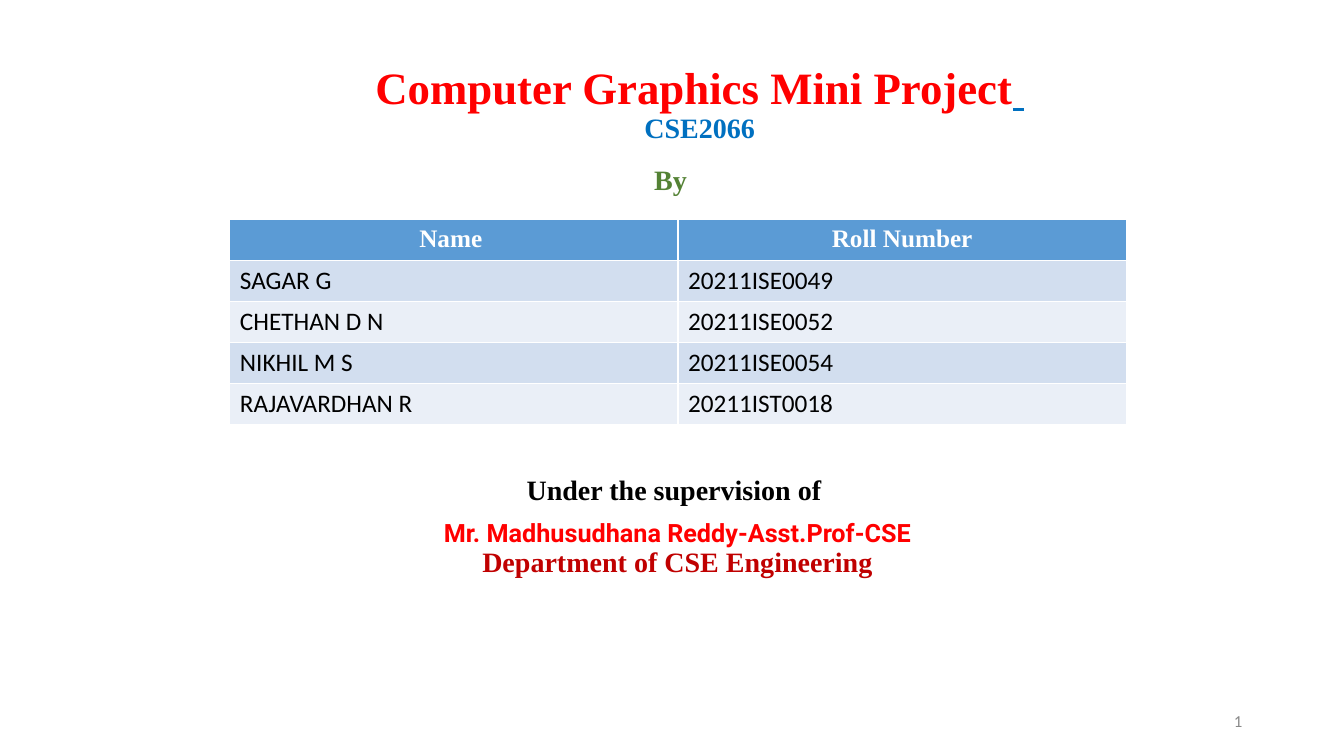
from lxml.etree import SubElement
from pptx import Presentation
from pptx.dml.color import RGBColor
from pptx.enum.text import MSO_ANCHOR, MSO_AUTO_SIZE, PP_ALIGN
from pptx.oxml.ns import qn
from pptx.util import Inches, Pt

RED = RGBColor(0xFF, 0x00, 0x00)
DARK_RED = RGBColor(0xC0, 0x00, 0x00)
BLUE = RGBColor(0x00, 0x70, 0xC0)
GREEN = RGBColor(0x54, 0x82, 0x35)
GRAY = RGBColor(0x89, 0x89, 0x89)
BLACK = RGBColor(0x00, 0x00, 0x00)
WHITE = RGBColor(0xFF, 0xFF, 0xFF)
HEADER_FILL = RGBColor(0x5B, 0x9B, 0xD5)
BAND_FILLS = [RGBColor(0xD2, 0xDE, 0xEF), RGBColor(0xEA, 0xEF, 0xF7)]
SERIF = "Times New Roman"

MEMBERS = [
    ("Name ", "Roll Number"),
    ("SAGAR G", "20211ISE0049"),
    ("CHETHAN D N", "20211ISE0052"),
    ("NIKHIL M S", "20211ISE0054"),
    ("RAJAVARDHAN R", "20211IST0018"),
]


def add_run(paragraph, text, size, color, name=SERIF, bold=True, underline=False):
    run = paragraph.add_run()
    run.text = text
    run.font.size = Pt(size)
    run.font.name = name
    run.font.bold = bold
    run.font.underline = underline
    run.font.color.rgb = color


def add_break(paragraph, size):
    paragraph.add_line_break()
    SubElement(paragraph._p[-1], qn("a:rPr")).set("sz", str(size * 100))


presentation = Presentation()
presentation.slide_width = Inches(13.33)
presentation.slide_height = Inches(7.5)
slide = presentation.slides.add_slide(presentation.slide_layouts[1])

title = slide.shapes.title
title.left, title.top = Inches(0.92), Inches(0.13)
title.width, title.height = Inches(12.04), Inches(1.83)
title.text_frame.auto_size = MSO_AUTO_SIZE.NONE
title.text_frame.vertical_anchor = MSO_ANCHOR.MIDDLE
heading = title.text_frame.paragraphs[0]
heading.alignment = PP_ALIGN.CENTER
heading.line_spacing = 0.9
add_run(heading, "Computer Graphics Mini Project", 32, RED)
add_run(heading, " ", 32, BLUE, underline=True)
add_break(heading, 32)
add_run(heading, "CSE2066", 20, BLUE)

body = slide.placeholders[1]
body.left, body.top = Inches(1.91), Inches(1.6)
body.width, body.height = Inches(9.62), Inches(4.7)
frame = body.text_frame
frame.auto_size = MSO_AUTO_SIZE.NONE
frame.vertical_anchor = MSO_ANCHOR.TOP
byline = frame.paragraphs[0]
supervision = frame.add_paragraph()
supervisor = frame.add_paragraph()
for paragraph, space_before in [(byline, 10), (supervision, 200), (supervisor, 10)]:
    paragraph.alignment = PP_ALIGN.CENTER
    paragraph.line_spacing = 0.9
    paragraph.space_before = Pt(space_before)
    properties = paragraph._p.get_or_add_pPr()
    properties.set("marL", "0")
    properties.set("indent", "0")
    SubElement(properties, qn("a:buNone"))
add_run(byline, "By  ", 20, GREEN)
add_run(supervision, "Under the supervision of ", 20, BLACK)
add_run(supervisor, "Mr. Madhusudhana Reddy-Asst.Prof-CSE", 18, RED, "Roboto")
add_break(supervisor, 18)
add_run(supervisor, "Department of CSE Engineering", 20, DARK_RED)

page_number = slide.shapes.add_textbox(Inches(9.42), Inches(6.95), Inches(3), Inches(0.4))
page_number.text_frame.word_wrap = True
page_number.text_frame.vertical_anchor = MSO_ANCHOR.MIDDLE
number = page_number.text_frame.paragraphs[0]
number.alignment = PP_ALIGN.RIGHT
add_run(number, "1", 12, GRAY, "Calibri", bold=False)

table = slide.shapes.add_table(
    len(MEMBERS), 2, Inches(2.28), Inches(2.18), Inches(8.89), Inches(2.03)
).table
for row, member in enumerate(MEMBERS):
    for column, text in enumerate(member):
        cell = table.cell(row, column)
        cell.fill.solid()
        paragraph = cell.text_frame.paragraphs[0]
        if row == 0:
            cell.fill.fore_color.rgb = HEADER_FILL
            paragraph.alignment = PP_ALIGN.CENTER
            add_run(paragraph, text, 18, WHITE)
        else:
            cell.fill.fore_color.rgb = BAND_FILLS[(row - 1) % 2]
            add_run(paragraph, text, 18, BLACK, "Calibri", bold=False)

presentation.save("out.pptx")
